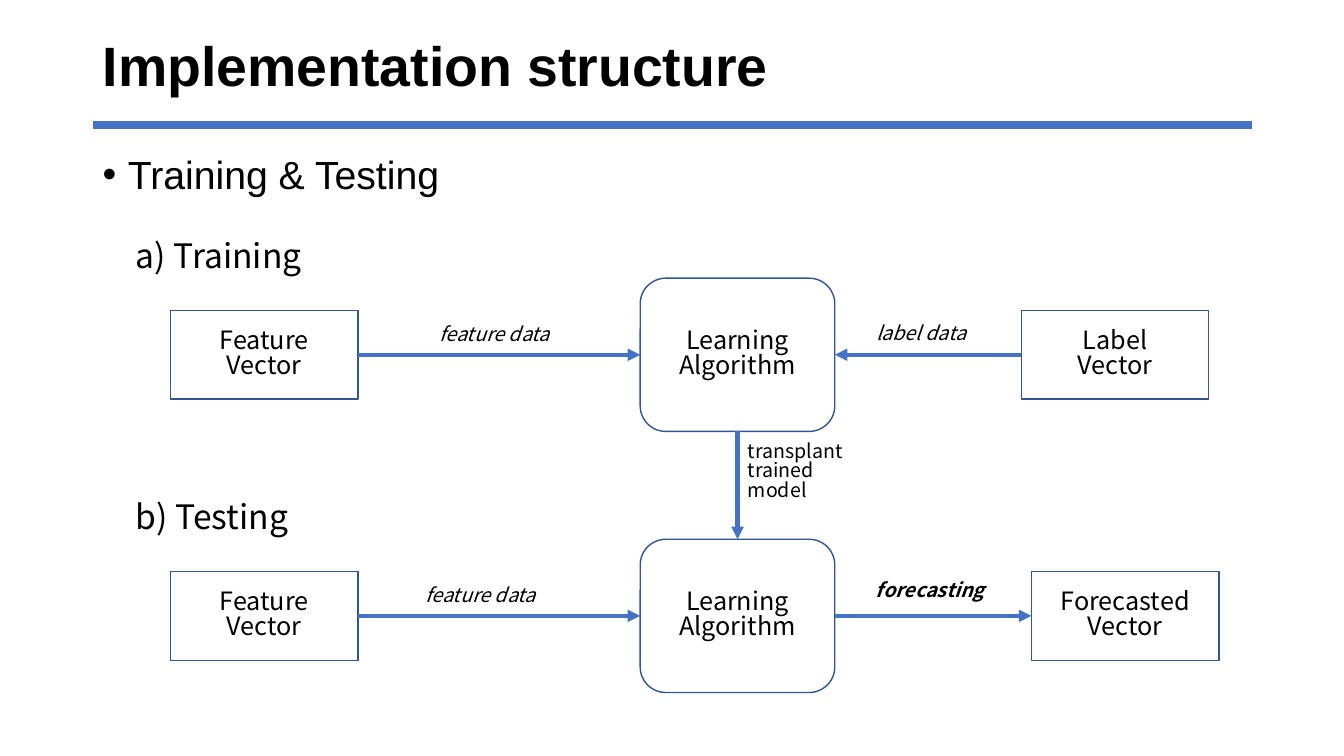
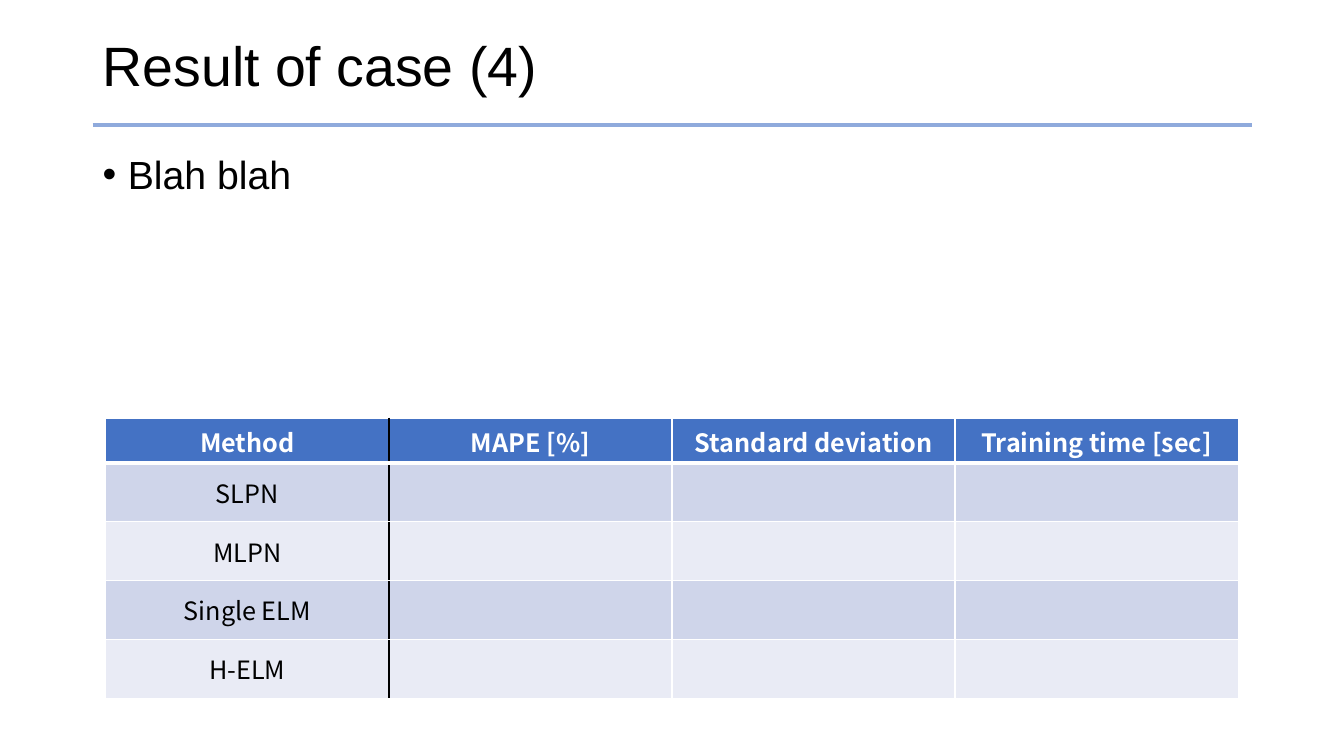
"""Build two slides: a training and testing diagram, and a results table."""
from lxml import etree
from pptx import Presentation
from pptx.dml.color import RGBColor
from pptx.enum.shapes import MSO_CONNECTOR, MSO_SHAPE
from pptx.enum.text import MSO_ANCHOR, PP_ALIGN
from pptx.oxml.ns import qn
from pptx.util import Inches, Pt

STRAIGHT = MSO_CONNECTOR.STRAIGHT
RECT, ROUNDED = MSO_SHAPE.RECTANGLE, MSO_SHAPE.ROUNDED_RECTANGLE
MIDDLE = MSO_ANCHOR.MIDDLE
LEFT, CENTER = PP_ALIGN.LEFT, PP_ALIGN.CENTER
TOP_SITE, LEFT_SITE, BOTTOM_SITE, RIGHT_SITE = range(4)

COLORS = {
    "black": "000000",
    "white": "FFFFFF",
    "blue": "4472C4",
    "light_blue": "8FAADC",
    "outline": "325491",
    "band_dark": "CFD5EA",
    "band_light": "E9EBF5",
}
HEAD_FONT, BODY_FONT = "Arial", "Noto Sans CJK KR"
DIAGRAM_SPACING = 0.83


def write(tf, text, size=18, font=BODY_FONT, color="black", bold=False,
          italic=False, align=LEFT, spacing=None):
    tf.text = text
    tf.word_wrap = True
    for p in tf.paragraphs:
        p.alignment = align
        p.line_spacing = spacing
        for r in p.runs:
            r.font.name = font
            r.font.size = Pt(size)
            r.font.bold = bold
            r.font.italic = italic
            r.font.color.rgb = RGBColor.from_string(COLORS[color])


def add_line(s, x1, y1, x2, y2, color, width):
    line = s.shapes.add_connector(
        STRAIGHT, Inches(x1), Inches(y1), Inches(x2), Inches(y2))
    line.line.color.rgb = RGBColor.from_string(COLORS[color])
    line.line.width = Pt(width)
    etree.SubElement(line._element.spPr, qn("a:effectLst"))
    return line


prs = Presentation()
prs.slide_width, prs.slide_height = Inches(13.33), Inches(7.5)

slides = []
for title, bold, bullet, rule_color, rule_width in [
    ("Implementation structure", True, "Training & Testing", "blue", 6.13),
    ("Result of case (4)", False, "Blah blah", "light_blue", 3.16),
]:
    s = prs.slides.add_slide(prs.slide_layouts[6])
    slides.append(s)
    sp = s.shapes.add_textbox(Inches(0.92), Inches(0.3), Inches(11.5), Inches(0.75))
    write(sp.text_frame, title, size=39.6, font=HEAD_FONT, bold=bold, spacing=0.9)
    sp.text_frame.vertical_anchor = MIDDLE

    sp = s.shapes.add_textbox(Inches(0.92), Inches(1.49), Inches(11.5), Inches(5.78))
    write(sp.text_frame, bullet, size=28, font=HEAD_FONT, spacing=0.9)
    p = sp.text_frame.paragraphs[0]
    p.space_before = Pt(10)
    pPr = p._p.get_or_add_pPr()
    pPr.set("marL", str(Inches(0.25)))
    pPr.set("indent", str(-Inches(0.25)))
    etree.SubElement(pPr, qn("a:buFont"), typeface=HEAD_FONT)
    etree.SubElement(pPr, qn("a:buChar"), char="•")

    add_line(s, 0.92, 1.24, 12.42, 1.24, rule_color, rule_width)

diagram, results = slides

boxes = {}
for stage, center_y, output, output_x in [
    ("training", 3.52, "Label\vVector", 10.13),
    ("testing", 6.11, "Forecasted Vector", 10.23),
]:
    for role, text, kind, x, w, h in [
        ("feature", "Feature\vVector", RECT, 1.69, 1.86, 0.88),
        ("algorithm", "Learning Algorithm", ROUNDED, 6.35, 1.93, 1.52),
        ("vector", output, RECT, output_x, 1.86, 0.88),
    ]:
        sp = diagram.shapes.add_shape(
            kind, Inches(x), Inches(center_y - h / 2), Inches(w), Inches(h))
        sp.shadow.inherit = False
        sp.fill.background()
        sp.line.color.rgb = RGBColor.from_string(COLORS["outline"])
        sp.line.width = Pt(1)
        write(sp.text_frame, text, align=CENTER, spacing=DIAGRAM_SPACING)
        sp.text_frame.vertical_anchor = MIDDLE
        boxes[stage, role] = sp

for start, start_site, end, end_site in [
    (("training", "feature"), RIGHT_SITE, ("training", "algorithm"), LEFT_SITE),
    (("training", "vector"), LEFT_SITE, ("training", "algorithm"), RIGHT_SITE),
    (("testing", "feature"), RIGHT_SITE, ("testing", "algorithm"), LEFT_SITE),
    (("testing", "algorithm"), RIGHT_SITE, ("testing", "vector"), LEFT_SITE),
    (("training", "algorithm"), BOTTOM_SITE, ("testing", "algorithm"), TOP_SITE),
]:
    arrow = add_line(diagram, 0, 0, 1, 1, "blue", 3)
    arrow.begin_connect(boxes[start], start_site)
    arrow.end_connect(boxes[end], end_site)
    etree.SubElement(arrow.line._get_or_add_ln(), qn("a:tailEnd"), type="triangle")

for text, x, y, w, h, style in [
    ("a) Training", 1.25, 2.35, 1.86, 0.5, {"size": 24}),
    ("b) Testing", 1.25, 4.94, 1.98, 0.5, {"size": 24}),
    ("transplant trained\nmodel", 7.32, 4.34, 1.66, 0.81, {"size": 14}),
    ("feature data", 4.26, 3.18, 1.66, 0.34, {"size": 14, "italic": True}),
    ("label data", 8.59, 3.17, 1.21, 0.34, {"size": 14, "italic": True}),
    ("feature data", 4.12, 5.77, 1.66, 0.34, {"size": 14, "italic": True}),
    ("forecasting", 8.59, 5.72, 1.66, 0.34,
     {"size": 14, "italic": True, "bold": True}),
]:
    sp = diagram.shapes.add_textbox(Inches(x), Inches(y), Inches(w), Inches(h))
    write(sp.text_frame, text, spacing=DIAGRAM_SPACING, **style)

headers = ["Method", "MAPE [%]", "Standard deviation", "Training time [sec]"]
methods = ["SLPN", "MLPN", "Single ELM", "H-ELM"]
rows = [headers] + [[m] + [""] * (len(headers) - 1) for m in methods]
table_w, table_h, header_h = 11.23, 2.78, 0.44

frame = results.shapes.add_table(
    len(rows), len(headers), Inches(1.05), Inches(4.15),
    Inches(table_w), Inches(table_h))
table = frame.table
for column in table.columns:
    column.width = Inches(table_w / len(headers))
for i, row in enumerate(rows):
    is_header = i == 0
    table.rows[i].height = Inches(
        header_h if is_header else (table_h - header_h) / len(methods))
    fill = "blue" if is_header else "band_dark" if i % 2 else "band_light"
    for j, text in enumerate(row):
        cell = table.cell(i, j)
        cell.vertical_anchor = MIDDLE
        if text:
            write(cell.text_frame, text, bold=is_header, align=CENTER,
                  color="white" if is_header else "black")
        tcPr = cell._tc.get_or_add_tcPr()
        for side, color, width in [
            ("lnL", "black" if j == 1 else "white", 1),
            ("lnR", "black" if j == 0 else "white", 1),
            ("lnT", "white", 3 if i == 1 else 1),
            ("lnB", "white", 3 if is_header else 1),
        ]:
            ln = etree.SubElement(tcPr, qn(f"a:{side}"), w=str(Pt(width)))
            solid = etree.SubElement(ln, qn("a:solidFill"))
            etree.SubElement(solid, qn("a:srgbClr"), val=COLORS[color])
        cell.fill.solid()
        cell.fill.fore_color.rgb = RGBColor.from_string(COLORS[fill])

prs.save("out.pptx")
